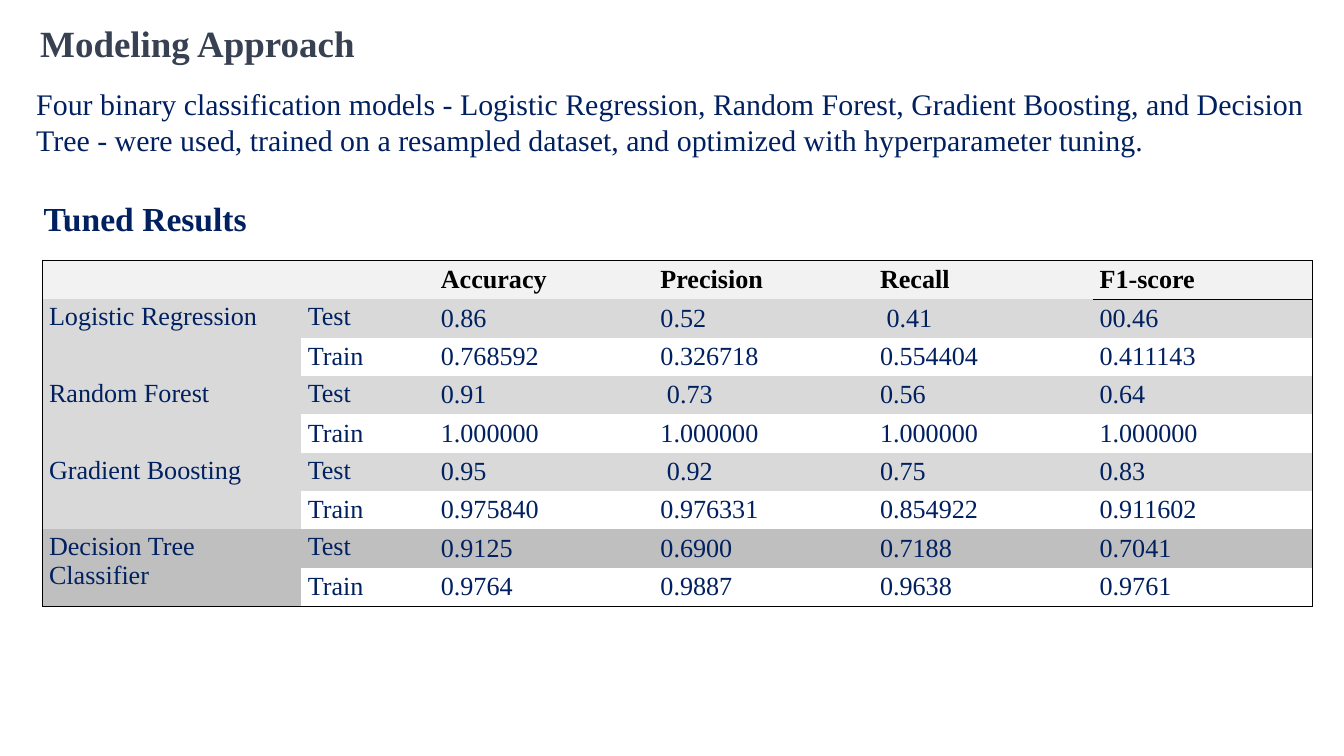
"""Builds the modeling approach slide with its table of tuned results."""
from dataclasses import dataclass

from lxml import etree
from pptx import Presentation
from pptx.dml.color import RGBColor
from pptx.enum.text import MSO_ANCHOR, PP_ALIGN
from pptx.oxml.ns import qn
from pptx.util import Cm, Pt

TOP, MIDDLE = MSO_ANCHOR.TOP, MSO_ANCHOR.MIDDLE
LEFT, JUSTIFY = PP_ALIGN.LEFT, PP_ALIGN.JUSTIFY


@dataclass(frozen=True)
class Theme:
    font: str = "Times New Roman"
    slate: str = "374151"
    navy: str = "002060"
    black: str = "000000"
    header: str = "F2F2F2"
    band: str = "D9D9D9"
    highlight: str = "BFBFBF"
    title: float = 39.6
    heading: float = 36
    body: float = 32
    cell: float = 28
    rule: float = 1


THEME = Theme()


def add_text(frame, text, size, color, bold=False, align=LEFT):
    frame.word_wrap = True
    paragraph = frame.paragraphs[0]
    paragraph.alignment = align
    run = paragraph.add_run()
    run.text = text
    run.font.name = THEME.font
    run.font.size = Pt(size)
    run.font.bold = bold
    run.font.color.rgb = RGBColor.from_string(color)


def set_borders(cell, ruled_sides):
    properties = cell._tc.get_or_add_tcPr()
    for position, side in enumerate("LRTB"):
        line = etree.Element(qn(f"a:ln{side}"), w=str(Pt(THEME.rule)))
        if side in ruled_sides:
            fill = etree.SubElement(line, qn("a:solidFill"))
            etree.SubElement(fill, qn("a:srgbClr"), val=THEME.black)
        else:
            etree.SubElement(line, qn("a:noFill"))
        properties.insert(position, line)


deck = Presentation()
deck.slide_width, deck.slide_height = Cm(50.8), Cm(28.58)
slide = deck.slides.add_slide(deck.slide_layouts[6])

title = slide.shapes.add_textbox(Cm(1.27), Cm(0.76), Cm(24.13), Cm(3.18)).text_frame
title.margin_top = 0
add_text(title, "Modeling Approach", THEME.title, THEME.slate, bold=True)

summary = slide.shapes.add_textbox(Cm(1.12), Cm(3.12), Cm(48.46), Cm(3)).text_frame
add_text(
    summary,
    "Four binary classification models - Logistic Regression, Random Forest, "
    "Gradient Boosting, and Decision Tree - were used, trained on a resampled "
    "dataset, and optimized with hyperparameter tuning.",
    THEME.body, THEME.navy, align=JUSTIFY,
)

heading = slide.shapes.add_textbox(Cm(1.4), Cm(7.34), Cm(21.59), Cm(1.8)).text_frame
add_text(heading, "Tuned Results", THEME.heading, THEME.navy, bold=True)

METRICS = ["Accuracy", "Precision", "Recall", "F1-score"]
MODELS = [
    ("Logistic Regression", THEME.band,
     ["0.86", "0.52", " 0.41", "00.46"],
     ["0.768592", "0.326718", "0.554404", "0.411143"]),
    ("Random Forest", THEME.band,
     ["0.91", " 0.73", "0.56", "0.64"],
     ["1.000000", "1.000000", "1.000000", "1.000000"]),
    ("Gradient Boosting", THEME.band,
     ["0.95", " 0.92", "0.75", "0.83"],
     ["0.975840", "0.976331", "0.854922", "0.911602"]),
    ("Decision Tree Classifier", THEME.highlight,
     ["0.9125", "0.6900", "0.7188", "0.7041"],
     ["0.9764", "0.9887", "0.9638", "0.9761"]),
]

rows = [["", ""] + METRICS]
row_fills = [THEME.header]
for model, shade, test_scores, train_scores in MODELS:
    rows += [[model, "Test"] + test_scores, ["", "Train"] + train_scores]
    row_fills += [shade, None]

COLUMN_WIDTHS = [9.78, 5.03] + [8.3] * len(METRICS)
ROW_HEIGHT = 1.45
last_row, last_column = len(rows) - 1, len(COLUMN_WIDTHS) - 1

results = slide.shapes.add_table(
    len(rows), len(COLUMN_WIDTHS), Cm(1.6), Cm(9.86),
    Cm(sum(COLUMN_WIDTHS)), Cm(ROW_HEIGHT * len(rows)),
).table
results.first_row = results.horz_banding = False
for column, width in zip(results.columns, COLUMN_WIDTHS):
    column.width = Cm(width)
for row in results.rows:
    row.height = Cm(ROW_HEIGHT)

for r, values in enumerate(rows):
    is_header, is_test = r == 0, r % 2 == 1
    for c, value in enumerate(values):
        cell = results.cell(r, c)
        labels_test = is_test and c < 2
        cell.vertical_anchor = TOP if labels_test else MIDDLE
        shade = row_fills[r - 1] if c == 0 and not is_header and not is_test else row_fills[r]
        if shade:
            cell.fill.solid()
            cell.fill.fore_color.rgb = RGBColor.from_string(shade)
        else:
            cell.fill.background()
        if value:
            color = THEME.black if is_header else THEME.navy
            add_text(cell.text_frame, value, THEME.cell, color, bold=is_header)
        under_score = c == last_column
        edges = {
            "L": c == 0,
            "R": c == last_column,
            "T": is_header or (r == 1 and under_score),
            "B": r == last_row or (is_header and under_score),
        }
        set_borders(cell, [side for side, ruled in edges.items() if ruled])

for first in range(1, len(rows), 2):
    results.cell(first, 0).merge(results.cell(first + 1, 0))
set_borders_last = results.cell(last_row - 1, 0)._tc.tcPr.find(qn("a:lnB"))
set_borders_last.getparent().replace(
    set_borders_last, etree.fromstring(etree.tostring(results.cell(last_row, 0)._tc.tcPr.find(qn("a:lnB"))))
)

deck.save("out.pptx")
